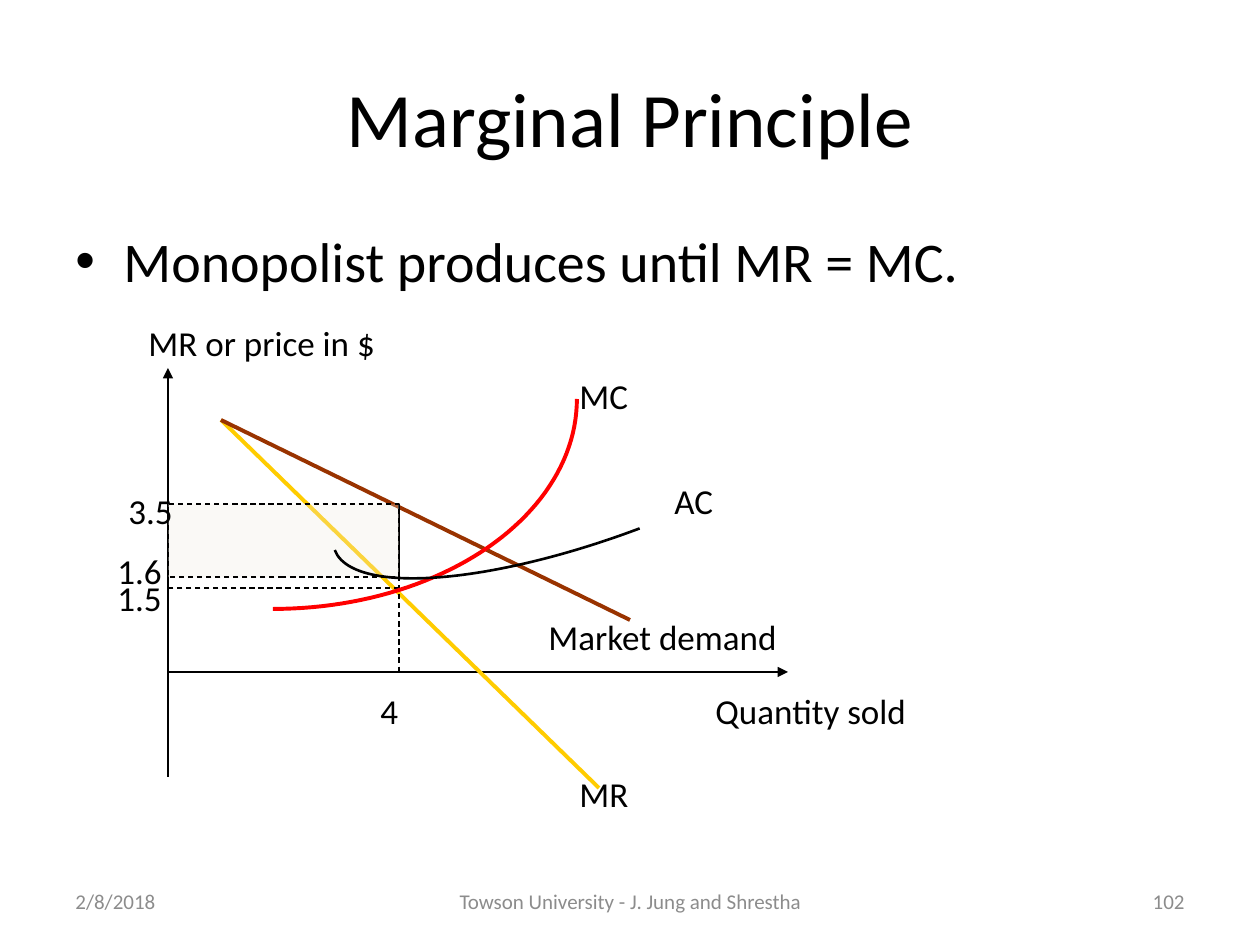
from math import cos, pi, sin

from lxml.etree import SubElement
from pptx import Presentation
from pptx.dml.color import RGBColor
from pptx.enum.dml import MSO_LINE
from pptx.enum.shapes import MSO_CONNECTOR, MSO_SHAPE
from pptx.enum.text import MSO_ANCHOR, PP_ALIGN
from pptx.oxml.ns import qn
from pptx.util import Emu, Pt

BLACK = RGBColor(0x00, 0x00, 0x00)
GRAY = RGBColor(0x8C, 0x8C, 0x8C)
YELLOW = RGBColor(0xFF, 0xCC, 0x00)
BROWN = RGBColor(0x99, 0x33, 0x00)
RED = RGBColor(0xFF, 0x00, 0x00)
CREAM = RGBColor(0xEE, 0xEC, 0xE1)

TITLE = ("Marginal Principle", 63, 38, 1134, 157)
BULLET = ("Monopolist produces until MR = MC.", 63, 220, 1134, 84)
BULLET_INDENT = 48
FOOTERS = [
    ("2/8/2018", 63, 294, PP_ALIGN.LEFT),
    ("Towson University - J. Jung and Shrestha", 431, 399, PP_ALIGN.CENTER),
    ("102", 903, 294, PP_ALIGN.RIGHT),
]
FOOTER_TOP, FOOTER_H = 876, 50

AXIS_X, AXIS_Y = 168, 672
QTY_X, PRICE_Y, AC_Y, MC_Y = 399, 504, 577, 588
AXES = [
    (AXIS_X, 777, AXIS_X, 368),
    (AXIS_X, AXIS_Y, 788, AXIS_Y),
]
CURVES = [
    (221, 420, 599, 788, YELLOW),
    (221, 420, 630, 620, BROWN),
]
GUIDES = [
    (QTY_X, PRICE_Y, QTY_X, AXIS_Y),
    (QTY_X, MC_Y, AXIS_X, MC_Y),
]
MC_CENTER, MC_RADII, MC_STEPS = (273, 399), (304, 210), 48
AC_BOX, AC_ROTATION = (316, 360, 586, 174), 159.4
LABELS = [
    ("MR or price in $", 136, 315, 410),
    ("1.5", 105, 570, 73),
    ("4", 368, 683, 95),
    ("Market demand", 536, 609, 273),
    ("MR", 567, 766, 231),
    ("Quantity sold", 703, 683, 420),
    ("MC", 567, 368, 105),
    ("AC", 662, 473, 95),
    ("1.6", 105, 543, 105),
    ("3.5", 116, 483, 73),
]
LABEL_H = 55

prs = Presentation()


def px(n):
    return Emu(round(n * 914400 / 126))


def add_text(text, x, y, w, h, size, color=BLACK, align=PP_ALIGN.LEFT,
             anchor=MSO_ANCHOR.TOP, bullet=False):
    tf = s.shapes.add_textbox(px(x), px(y), px(w), px(h)).text_frame
    tf.word_wrap = True
    tf.vertical_anchor = anchor
    p = tf.paragraphs[0]
    p.alignment = align
    if bullet:
        pPr = p._p.get_or_add_pPr()
        pPr.set("marL", str(px(BULLET_INDENT)))
        pPr.set("indent", str(-px(BULLET_INDENT)))
        SubElement(pPr, qn("a:buFont"), typeface="Arial")
        SubElement(pPr, qn("a:buChar"), char="•")
    r = p.add_run()
    r.text = text
    r.font.name = "Calibri"
    r.font.size = Pt(size)
    r.font.color.rgb = color


def set_line(shape, color, width, dashed=False):
    shape.line.color.rgb = color
    shape.line.width = Pt(width)
    if dashed:
        shape.line.dash_style = MSO_LINE.DASH


def add_line(x1, y1, x2, y2, color=BLACK, width=0.75, dashed=False, arrow=False):
    line = s.shapes.add_connector(MSO_CONNECTOR.STRAIGHT, px(x1), px(y1), px(x2), px(y2))
    set_line(line, color, width, dashed)
    if arrow:
        SubElement(line.line._get_or_add_ln(), qn("a:tailEnd"), type="triangle")
    SubElement(line._element.spPr, qn("a:effectLst"))


prs.slide_width, prs.slide_height = px(1260), px(945)
s = prs.slides.add_slide(prs.slide_layouts[6])

add_text(*TITLE, 44, align=PP_ALIGN.CENTER, anchor=MSO_ANCHOR.MIDDLE)
add_text(*BULLET, 32, bullet=True)
for text, x, w, align in FOOTERS:
    add_text(text, x, FOOTER_TOP, w, FOOTER_H, 12, GRAY, align, MSO_ANCHOR.MIDDLE)

for axis in AXES:
    add_line(*axis, arrow=True)
for curve in CURVES:
    add_line(*curve, width=2.25)
for guide in GUIDES:
    add_line(*guide, dashed=True)

angles = [pi / 2 * (1 - i / MC_STEPS) for i in range(MC_STEPS + 1)]
points = [(px(MC_CENTER[0] + MC_RADII[0] * cos(a)), px(MC_CENTER[1] + MC_RADII[1] * sin(a)))
          for a in angles]
fb = s.shapes.build_freeform(*points[0])
fb.add_line_segments(points[1:], close=False)
mc = fb.convert_to_shape()
mc.shadow.inherit = False
mc.fill.background()
set_line(mc, RED, 2.25)

profit = s.shapes.add_shape(MSO_SHAPE.RECTANGLE, px(AXIS_X), px(PRICE_Y),
                            px(QTY_X - AXIS_X), px(AC_Y - PRICE_Y))
profit.shadow.inherit = False
profit.fill.solid()
profit.fill.fore_color.rgb = CREAM
srgb = profit._element.spPr.find(qn("a:solidFill")).find(qn("a:srgbClr"))
SubElement(srgb, qn("a:alpha"), val="28000")
set_line(profit, BLACK, 0.75, dashed=True)

for text, x, y, w in LABELS:
    add_text(text, x, y, w, LABEL_H, 20)

ac = s.shapes.add_shape(MSO_SHAPE.ARC, *map(px, AC_BOX))
ac.rotation = AC_ROTATION
ac.shadow.inherit = False
ac.fill.background()
set_line(ac, BLACK, 1.5)

prs.save("out.pptx")
